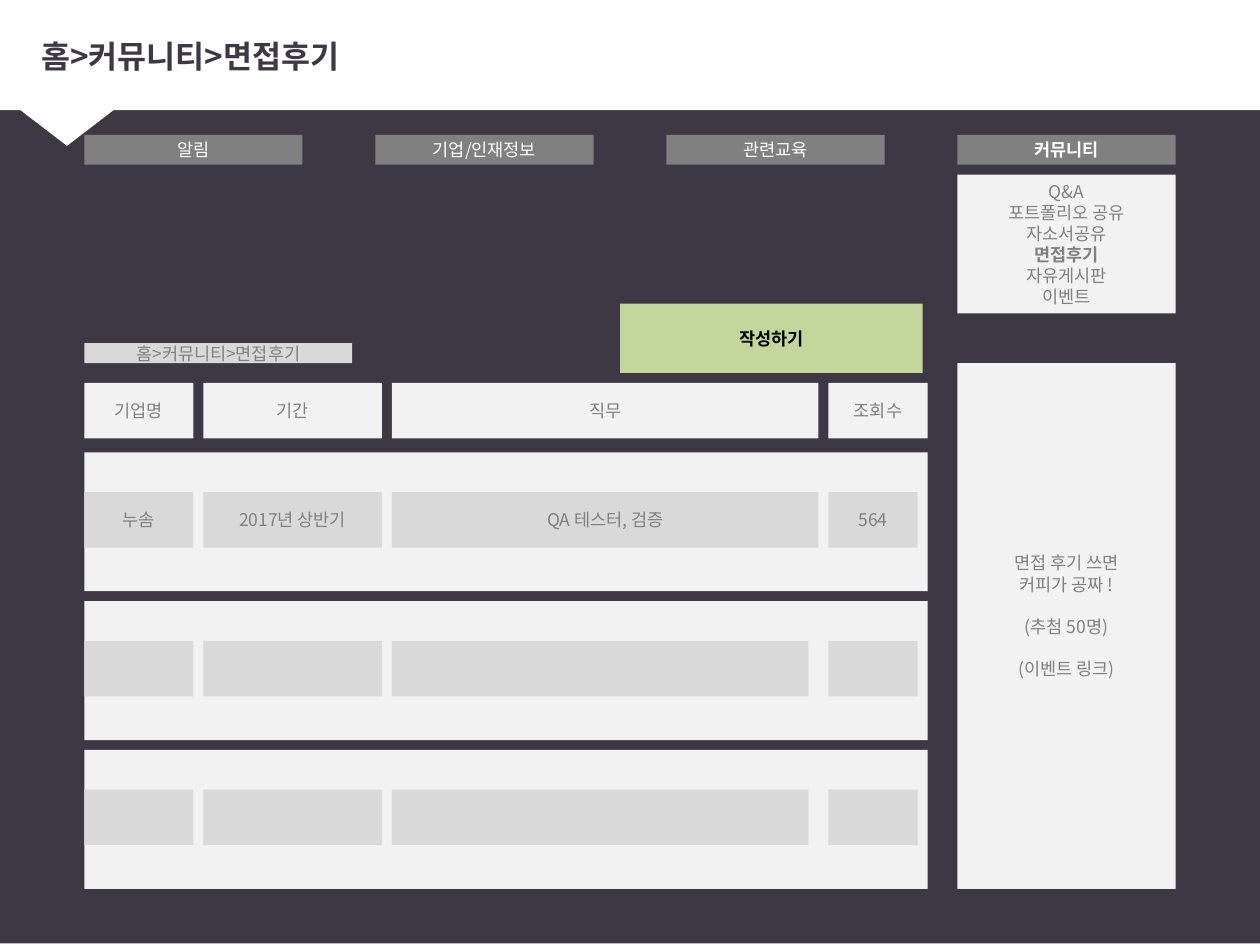
from dataclasses import dataclass
from itertools import accumulate

from lxml.etree import SubElement
from pptx import Presentation
from pptx.dml.color import RGBColor
from pptx.enum.shapes import MSO_SHAPE as Shape
from pptx.enum.text import MSO_ANCHOR as Anchor, PP_ALIGN as Align
from pptx.oxml.ns import qn
from pptx.util import Inches, Pt

COLUMNS, ROWS = 127, 95.25


@dataclass(frozen=True)
class Theme:
    font: str = "Noto Sans CJK KR"
    dark: str = "3D3844"
    white: str = "FFFFFF"
    black: str = "000000"
    gray: str = "808080"
    panel: str = "F2F2F2"
    cell: str = "D9D9D9"
    accent: str = "C3D69B"
    title_size: int = 18
    body_size: int = 10
    line_height: int = 12


class Wireframe:
    def __init__(self, presentation, theme):
        self.theme = theme
        self.unit = presentation.slide_width / COLUMNS
        self.slide = presentation.slides.add_slide(presentation.slide_layouts[6])

    def grid(self, *lengths):
        return [round(length * self.unit) for length in lengths]

    def box(self, left, top, width, height, fill, kind=Shape.RECTANGLE):
        shape = self.slide.shapes.add_shape(kind, *self.grid(left, top, width, height))
        shape.shadow.inherit = False
        shape.fill.solid()
        shape.fill.fore_color.rgb = RGBColor.from_string(fill)
        shape.line.fill.background()
        return shape

    def set_text(self, shape, lines, color, size=None, align=Align.CENTER, bold=(),
                 gaps=(), bottom=0):
        frame = shape.text_frame
        frame_format = dict(word_wrap=True, vertical_anchor=Anchor.MIDDLE,
                            margin_top=0, margin_bottom=Pt(bottom))
        for name, value in frame_format.items():
            setattr(frame, name, value)
        for index, line in enumerate(lines):
            paragraph = frame.add_paragraph() if index else frame.paragraphs[0]
            paragraph.alignment = align
            if line in gaps:
                paragraph.space_before = Pt(self.theme.line_height)
            run = paragraph.add_run()
            run.text = line
            font_format = dict(name=self.theme.font, bold=line in bold,
                               size=Pt(size or self.theme.body_size))
            for name, value in font_format.items():
                setattr(run.font, name, value)
            run.font.color.rgb = RGBColor.from_string(color)
            east_asian = SubElement(run._r.get_or_add_rPr(), qn("a:ea"))
            east_asian.set("typeface", self.theme.font)

    def label(self, left, top, width, height, fill, lines, color=None, **style):
        shape = self.box(left, top, width, height, fill)
        self.set_text(shape, lines, color or self.theme.gray, **style)

    def title(self, left, top, width, height, text):
        shape = self.slide.shapes.add_textbox(*self.grid(left, top, width, height))
        self.set_text(shape, [text], self.theme.dark, self.theme.title_size,
                      Align.LEFT, bold=[text])

    def row(self, starts, top, widths, height, fill, texts):
        for left, width, text in zip(starts, widths, texts):
            self.label(left, top, width, height, fill, [text] if text else [])


def main():
    presentation = Presentation()
    presentation.slide_width, presentation.slide_height = Inches(10), Inches(7.5)
    theme = Theme()
    page = Wireframe(presentation, theme)
    trail = "홈>커뮤니티>면접후기"
    left, gap, side, side_width = 8.5, 1, 96.5, 22

    page.box(0, 0, COLUMNS, ROWS - 0.15, theme.dark)
    page.box(0, 0, COLUMNS, 11.1, theme.white)
    page.box(-2.5, 7.6, 18.5, 7.1, theme.white, Shape.ISOSCELES_TRIANGLE).rotation = 180
    page.title(2.9, 1.7, 122.7, 7.9, trail)

    tabs = ["알림", "기업/인재정보", "관련교육", "커뮤니티"]
    pitch = (side - left) / (len(tabs) - 1)
    for index, tab in enumerate(tabs):
        page.label(left + index * pitch, 13.6, side_width, 3, theme.gray, [tab],
                   theme.white, bold=["커뮤니티"])

    menu = ["Q&A", "포트폴리오 공유", "자소서공유", "면접후기", "자유게시판", "이벤트"]
    page.label(side, 17.6, side_width, 14, theme.panel, menu, bold=["면접후기"])
    page.label(left, 34.6, 27, 2, theme.cell, [trail])

    widths = [11, 18, 43, 10]
    starts = list(accumulate((width + gap for width in widths[:-1]), initial=left))
    cell_height, record_height, record_width = 5.6, 14, 85
    page.row(starts, 38.6, widths, cell_height, theme.panel,
             ["기업명", "기간", "직무", "조회수"])

    records = [
        ([11, 18, 43, 9], ["누솜", "2017년 상반기", "QA 테스터, 검증", "564"]),
        ([11, 18, 42, 9], [""] * 4),
        ([11, 18, 42, 9], [""] * 4),
    ]
    for index, (cell_widths, texts) in enumerate(records):
        top = 45.6 + index * (record_height + gap)
        page.box(left, top, record_width, record_height, theme.panel)
        page.row(starts, top + 4, cell_widths, cell_height, theme.cell, texts)

    page.label(62.5, 30.6, 30.5, 7, theme.accent, ["작성하기"], theme.black,
               bold=["작성하기"])
    notice = ["면접 후기 쓰면", "커피가 공짜 !", "(추첨 50명)", "(이벤트 링크)"]
    page.label(side, 36.6, side_width, 53, theme.panel, notice, gaps=notice[2:],
               bottom=theme.line_height)

    presentation.save("out.pptx")


if __name__ == "__main__":
    main()
